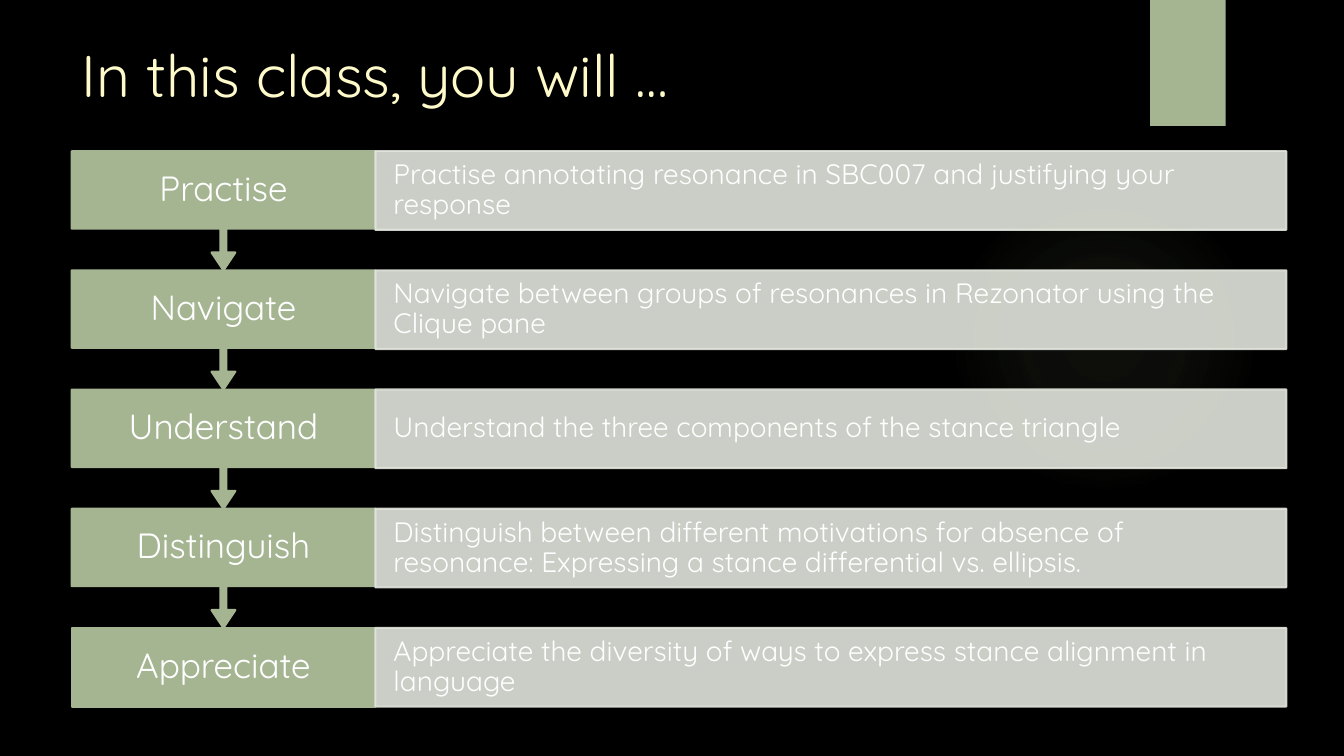
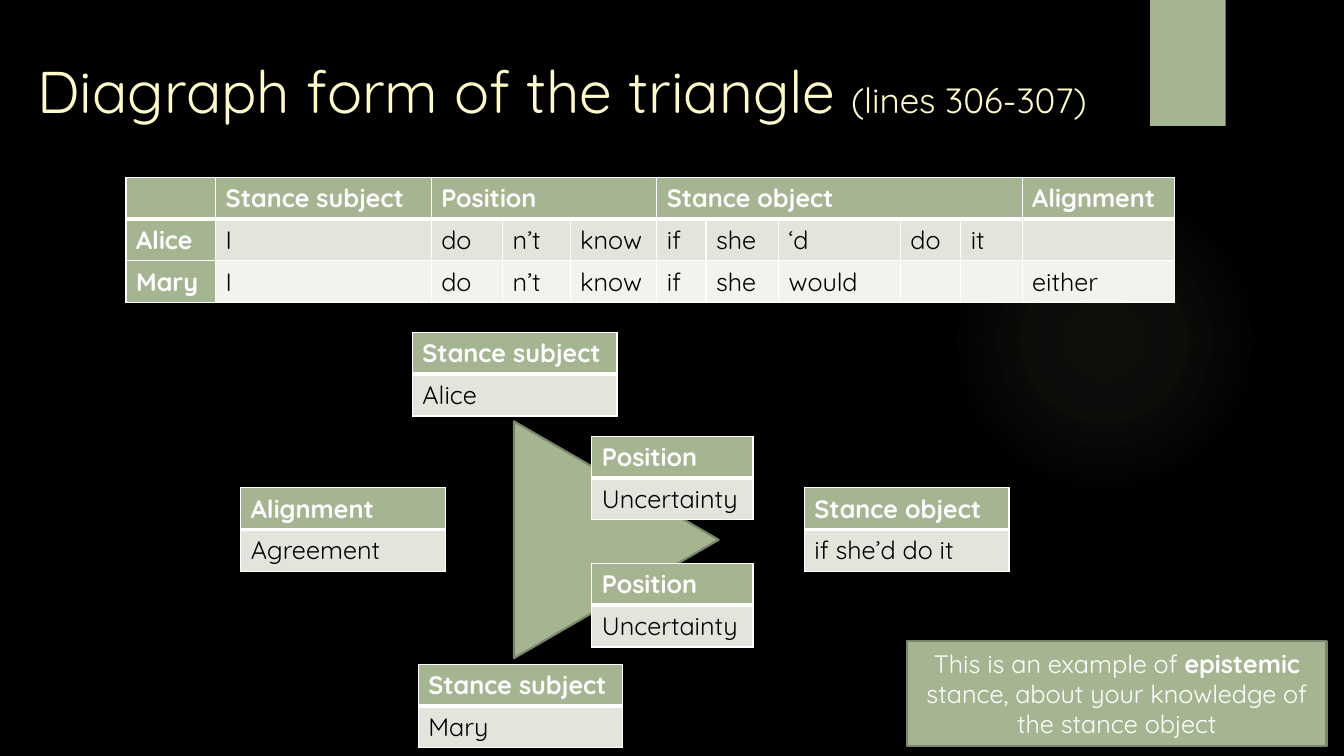
from dataclasses import dataclass

from lxml.etree import SubElement
from pptx import Presentation
from pptx.dml.color import RGBColor
from pptx.enum.shapes import MSO_SHAPE as Shape
from pptx.enum.text import MSO_ANCHOR as Anchor, MSO_AUTO_SIZE as AutoSize, PP_ALIGN as Align
from pptx.oxml import parse_xml
from pptx.oxml.ns import nsdecls, qn
from pptx.util import Inches, Pt

COLORS = {
    "background": "000000", "title": "FEFAC9", "sage": "A5B592", "edge": "7A866C",
    "pale": "E1E5DC", "paler": "F0F3EE", "glow": "BECB95", "white": "FFFFFF", "ink": "000000",
}
FONT = "Quicksand"
GLOW_STOPS = [(0, 7), (36, 6), (69, 0)]

STEPS = [
    ("Practise", "Practise annotating resonance in SBC007 and justifying your response"),
    ("Navigate", "Navigate between groups of resonances in Rezonator using the Clique pane"),
    ("Understand", "Understand the three components of the stance triangle"),
    ("Distinguish", "Distinguish between different motivations for absence of resonance: "
                    "Expressing a stance differential vs. ellipsis."),
    ("Appreciate", "Appreciate the diversity of ways to express stance alignment in language"),
]
DIAGRAPH_COLUMNS = [0.89, 2.14, 0.71, 0.67, 0.86, 0.49, 0.72, 1.21, 0.6, 0.61, 1.51]
DIAGRAPH = [
    ["", "Stance subject", "Position", "", "", "Stance object", "", "", "", "", "Alignment"],
    ["Alice", "I", "do", "n’t", "know", "if", "she", "‘d", "do", "it", ""],
    ["Mary", "I", "do", "n’t", "know", "if", "she", "would", "", "", "either"],
]
HEADER_SPANS = [(2, 4), (5, 9)]
CARDS = [
    ("Stance object", "if she’d do it", 73.36, 37.55, 26.64),
    ("Alignment", "Agreement", 0, 37.55, 26.64),
    ("Stance subject", "Alice", 22.33, 0, 26.64),
    ("Stance subject", "Mary", 23.1, 80.25, 26.64),
    ("Position", "Uncertainty", 45.69, 25.11, 21),
    ("Position", "Uncertainty", 45.69, 55.85, 21),
]
CARD_HEIGHT = 19.75


@dataclass
class Box:
    """A rectangle that hands out regions of itself by percentage."""
    left: int
    top: int
    width: int
    height: int

    def inner(self, left, top, width, height):
        """Return the inner box given in percent of this one."""
        return Box(round(self.left + self.width * left / 100), round(self.top + self.height * top / 100),
                   round(self.width * width / 100), round(self.height * height / 100))

    def bounds(self):
        """Return left, top, width and height."""
        return self.left, self.top, self.width, self.height


PAGE = Box(0, 0, Inches(13.33), Inches(7.5))


def rgb(name):
    """Look up a palette colour."""
    return RGBColor.from_string(COLORS[name])


def style(paragraph, size, color, bold=False, align=Align.LEFT):
    """Set the font and alignment of a paragraph."""
    paragraph.alignment = align
    font = paragraph.font
    font.name, font.size, font.bold = FONT, Pt(size), bold
    font.color.rgb = rgb(color)


def add_block(slide, kind, box, fill, edge=None, opacity=100):
    """Add a flat filled shape with an optional edge."""
    block = slide.shapes.add_shape(kind, *box.bounds())
    block.shadow.inherit = False
    block.fill.solid()
    block.fill.fore_color.rgb = rgb(fill)
    if edge:
        block.line.color.rgb = rgb(edge)
        block.line.width = Pt(1.5)
    else:
        block.line.fill.background()
    if opacity < 100:
        for color in list(block._element.spPr.iter(qn("a:srgbClr"))):
            SubElement(color, qn("a:alpha"), val=str(opacity * 1000))
    return block


def write(block, text, size, align, inset):
    """Write one white paragraph in the middle of a shape."""
    frame = block.text_frame
    frame.word_wrap, frame.vertical_anchor = True, Anchor.MIDDLE
    frame.margin_left = frame.margin_right = Inches(inset)
    frame.margin_top = frame.margin_bottom = 0
    paragraph = frame.paragraphs[0]
    paragraph.text, paragraph.line_spacing = text, 0.9
    style(paragraph, size, "white", align=align)


def add_glow(slide, box):
    """Add the faint round light behind the content."""
    glow = add_block(slide, Shape.OVAL, box, "glow")
    stops = "".join(
        f'<a:gs pos="{pos * 1000}"><a:srgbClr val="{COLORS["glow"]}">'
        f'<a:alpha val="{alpha * 1000}"/></a:srgbClr></a:gs>' for pos, alpha in GLOW_STOPS)
    gradient = parse_xml(
        f'<a:gradFill {nsdecls("a")} rotWithShape="1"><a:gsLst>{stops}</a:gsLst><a:path path="circle">'
        '<a:fillToRect l="50000" t="50000" r="50000" b="50000"/></a:path></a:gradFill>')
    properties = glow._element.spPr
    properties.replace(properties.find(qn("a:solidFill")), gradient)


def start_slide(prs, title_box, title, aside=""):
    """Add a slide with the shared glow, corner tab and title."""
    slide = prs.slides.add_slide(prs.slide_layouts[5])
    add_glow(slide, PAGE.inner(70.58, 24.4, 23.1, 41.07))
    add_block(slide, Shape.RECTANGLE, PAGE.inner(85.58, 0, 5.62, 16.67), "sage")
    heading = slide.shapes.title
    heading.left, heading.top, heading.width, heading.height = title_box.bounds()
    frame = heading.text_frame
    frame.word_wrap, frame.auto_size, frame.vertical_anchor = True, AutoSize.NONE, Anchor.TOP
    paragraph = frame.paragraphs[0]
    paragraph.text = title
    style(paragraph, 42, "title")
    if aside:
        lines = paragraph.add_run()
        lines.text, lines.font.size = aside, Pt(25)
    return slide


def add_steps(slide, box, steps):
    """Stack labelled bars joined by downward arrows."""
    bar_share = 0.66
    pitch = 100 / (len(steps) - 1 + bar_share)
    bar = pitch * bar_share
    for index, (label, detail) in reversed(list(enumerate(steps))):
        top = index * pitch
        if index == len(steps) - 1:
            name = add_block(slide, Shape.RECTANGLE, box.inner(0, top, 25, bar), "sage", "sage")
        else:
            name = add_block(slide, Shape.DOWN_ARROW_CALLOUT, box.inner(0, top, 25, pitch), "sage", "sage")
            for place, share in enumerate((0.05, 0.1, 0.15, 0.65)):
                name.adjustments[place] = share
        write(name, label, 25, Align.CENTER, 0.21)
        goal = add_block(slide, Shape.RECTANGLE, box.inner(25, top, 75, bar), "pale", "pale", 90)
        write(goal, detail, 20, Align.LEFT, 0.18)


def fill_cell(cell, text, fill, heading, edges):
    """Write a cell and give it a fill and white borders."""
    properties = cell._tc.get_or_add_tcPr()
    for side, width in zip("LRTB", edges):
        line = SubElement(properties, qn(f"a:ln{side}"), w=str(Pt(width)))
        SubElement(SubElement(line, qn("a:solidFill")), qn("a:srgbClr"), val=COLORS["white"])
    cell.fill.solid()
    cell.fill.fore_color.rgb = rgb(fill)
    paragraph = cell.text_frame.paragraphs[0]
    paragraph.text = text
    style(paragraph, 18, "white" if heading else "ink", heading)


def add_grid(slide, box, rows, weights, side_heads=False, spans=()):
    """Add a table with a heading row and optional heading column."""
    table = slide.shapes.add_table(len(rows), len(weights), *box.bounds()).table
    table.horz_banding, table.first_col = False, side_heads
    for column, weight in zip(table.columns, weights):
        column.width = round(box.width * weight / sum(weights))
    for y, row in enumerate(rows):
        table.rows[y].height = round(box.height / len(rows))
        for x, text in enumerate(row):
            heading = y == 0 or (side_heads and x == 0)
            fill = "sage" if heading else ("paler", "pale")[y % 2]
            edges = (1, 1, 3 if y == 1 else 1, 3 if y == 0 else 1)
            fill_cell(table.cell(y, x), text, fill, heading, edges)
    for first, last in spans:
        table.cell(0, first).merge(table.cell(0, last))


def add_triangle(slide, box):
    """Draw the stance triangle with its labelled cards."""
    triangle = add_block(slide, Shape.ISOSCELES_TRIANGLE, box.inner(33.47, 25.36, 30.83, 49.51), "sage", "edge")
    triangle.rotation = 90
    for role, value, left, top, width in CARDS:
        add_grid(slide, box.inner(left, top, width, CARD_HEIGHT), [[role], [value]], [1])


def add_note(slide, box, before, strong, after):
    """Add a remark with one bold word."""
    note = add_block(slide, Shape.RECTANGLE, box, "sage", "edge")
    write(note, before, 18, Align.CENTER, 0.1)
    paragraph = note.text_frame.paragraphs[0]
    paragraph.line_spacing = 1.0
    for text, bold in ((strong, True), (after, False)):
        run = paragraph.add_run()
        run.text, run.font.bold = text, bold


def main():
    """Build the two slides and save them."""
    prs = Presentation()
    prs.slide_width, prs.slide_height = PAGE.width, PAGE.height
    backdrop = prs.slide_master.background.fill
    backdrop.solid()
    backdrop.fore_color.rgb = rgb("background")

    goals = start_slide(prs, PAGE.inner(5.33, 4.4, 77.18, 12.13), "In this class, you will …")
    add_steps(goals, PAGE.inner(5.33, 20, 90.38, 73.47), STEPS)

    diagraph = start_slide(prs, PAGE.inner(2.03, 6.53, 84, 20.4),
                           "Diagraph form of the triangle ", "(lines 306-307)")
    add_grid(diagraph, PAGE.inner(9.38, 23.47, 78, 16.27), DIAGRAPH, DIAGRAPH_COLUMNS, True, HEADER_SPANS)
    add_triangle(diagraph, PAGE.inner(17.92, 44, 57.15, 54.67))
    add_note(diagraph, PAGE.inner(67.5, 84.8, 31.2, 13.87), "This is an example of ", "epistemic",
             " stance, about your knowledge of the stance object")
    prs.save("out.pptx")


if __name__ == "__main__":
    main()
